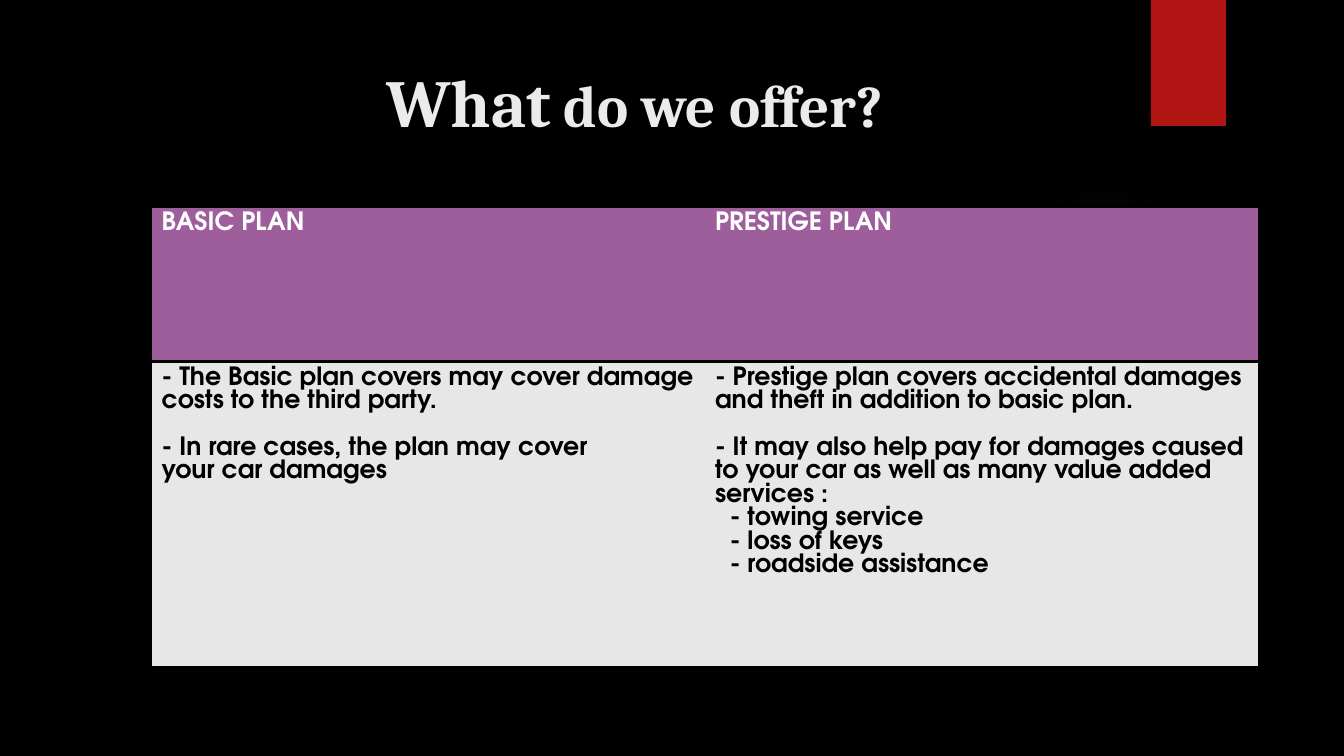
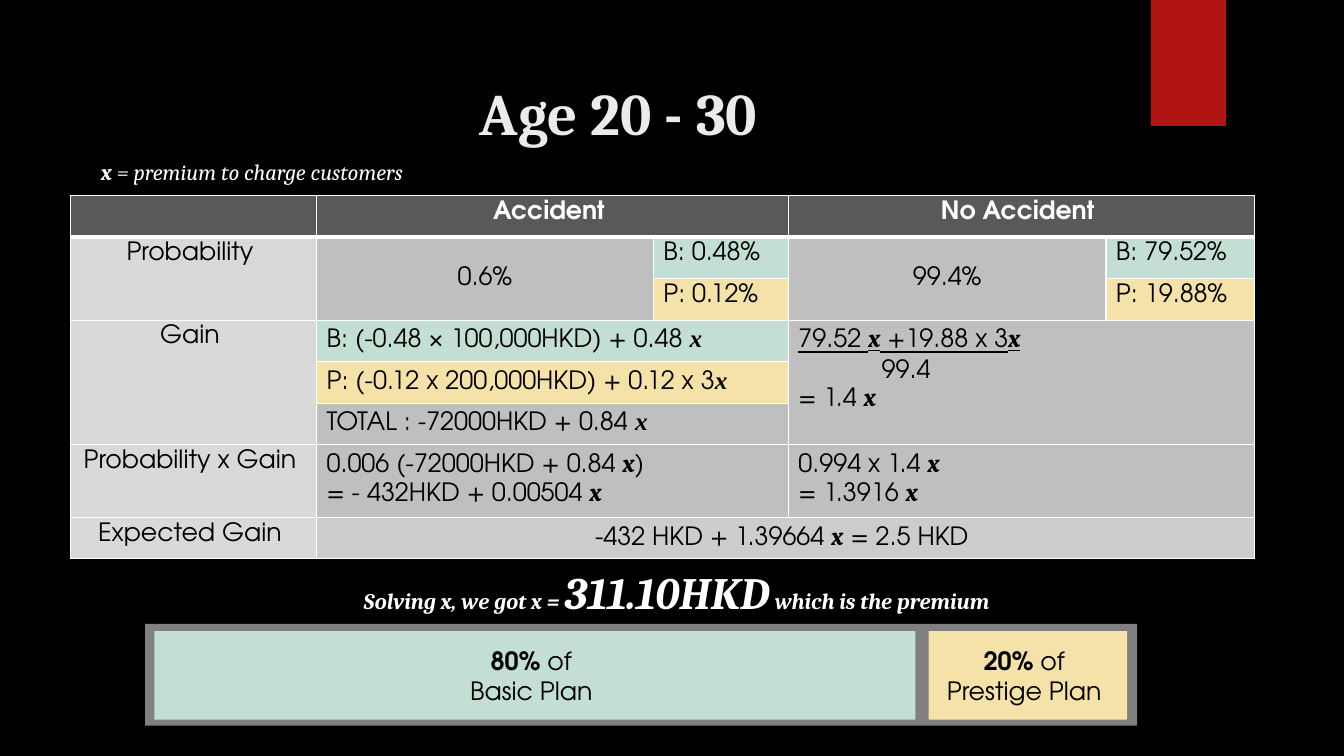
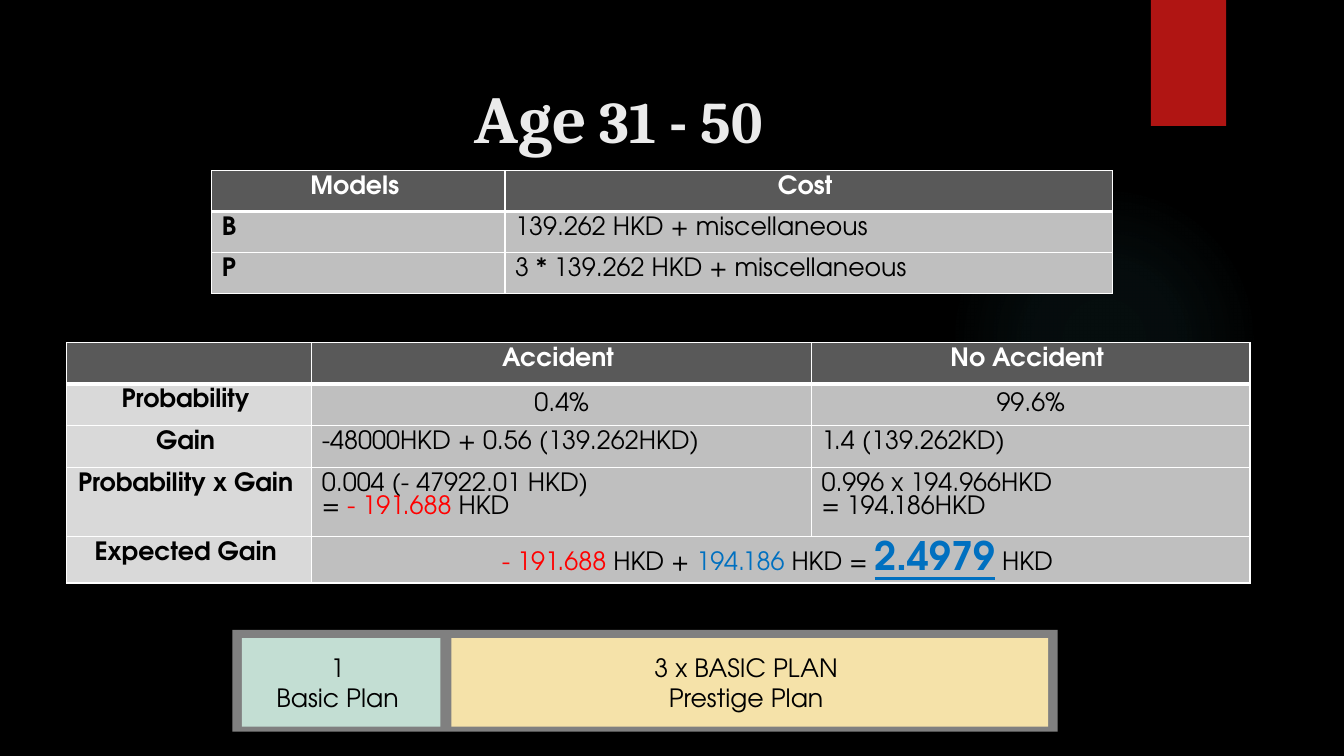
from dataclasses import asdict, dataclass, replace
from typing import NamedTuple, Optional, Union

from lxml.etree import SubElement
from pptx import Presentation
from pptx.dml.color import RGBColor
from pptx.enum.shapes import MSO_SHAPE
from pptx.enum.text import MSO_ANCHOR, PP_ALIGN
from pptx.oxml import parse_xml
from pptx.oxml.ns import nsdecls, qn
from pptx.util import Inches, Length, Pt

WIDTH, HEIGHT = Inches(13.33), Inches(7.5)


@dataclass(frozen=True)
class Theme:
    sans: str = "TeX Gyre Adventor"
    serif: str = "Cambria"
    times: str = "Times New Roman"
    black: str = "000000"
    white: str = "FFFFFF"
    title: str = "EBEBEB"
    ribbon: str = "B01513"
    glow: str = "50B9C1"
    purple: str = "9E5E9B"
    pale: str = "E7E7E7"
    head: str = "595959"
    label: str = "D9D9D9"
    grey: str = "BFBFBF"
    light: str = "CCCCCC"
    frame: str = "808080"
    mint: str = "C3DED3"
    sand: str = "F5E2A9"
    red: str = "FF0000"
    blue: str = "0070C0"
    body: int = 18
    note: int = 16
    large: int = 28
    huge: int = 32
    main: int = 42
    first: int = 48
    gap: int = 17
    margin: float = 1.28


T = Theme()


@dataclass(frozen=True)
class Look:
    name: str = T.sans
    size: int = T.body
    color: str = T.black
    bold: bool = False
    italic: bool = False
    underline: bool = False


BODY = Look()
BOLD = replace(BODY, bold=True)
HEAD = replace(BOLD, color=T.white)
UNDER = replace(BODY, underline=True)
VAR = Look(name=T.serif, bold=True, italic=True)
TIMES = replace(VAR, name=T.times)
LOSS = replace(BODY, color=T.red)
PROFIT = replace(BODY, color=T.blue)
RESULT = replace(PROFIT, size=T.large, bold=True, underline=True)
TITLE = Look(T.serif, T.main, T.title, bold=True)
FIRST = replace(TITLE, size=T.first)
NOTE = Look(T.serif, T.note, T.white, bold=True, italic=True)


class Box(NamedTuple):
    """Place and size in percent of the slide."""
    x: float
    y: float
    w: float
    h: float


class Run(NamedTuple):
    text: str
    look: Look


@dataclass
class Line:
    """One paragraph; plain strings in bits take its look, indent is in percent."""
    bits: tuple[Union[str, Run], ...]
    look: Look = BODY
    center: bool = False
    indent: float = 0
    before: float = 0


@dataclass
class Cell:
    lines: list[Line]
    fill: str = T.grey
    rows: int = 1
    cols: int = 1
    middle: bool = False


Grid = list[list[Optional[Cell]]]


def line(*bits: Union[str, Run], look: Look = BODY, center: bool = False,
         indent: float = 0, before: float = 0) -> Line:
    return Line(bits, look, center, indent, before)


def across(share: float) -> Length:
    return Length(round(WIDTH * share / 100))


def down(share: float) -> Length:
    return Length(round(HEIGHT * share / 100))


def place(box: Box) -> tuple[Length, Length, Length, Length]:
    return across(box.x), down(box.y), across(box.w), down(box.h)


def style(font, look: Look, base: Optional[Look] = None) -> None:
    """Set on font the traits in which look differs from base."""
    known = asdict(base) if base else {}
    for trait, value in asdict(look).items():
        if known.get(trait) == value:
            continue
        if trait == "color":
            font.color.rgb = RGBColor.from_string(value)
        else:
            setattr(font, trait, Pt(value) if trait == "size" else value)


def write(frame, lines: list[Line]) -> None:
    for i, item in enumerate(lines):
        para = frame.add_paragraph() if i else frame.paragraphs[0]
        para.alignment = PP_ALIGN.CENTER if item.center else PP_ALIGN.LEFT
        if item.indent:
            para._p.get_or_add_pPr().set("marL", str(across(item.indent)))
        if item.before:
            para.space_before = Pt(item.before)
        style(para.font, item.look)
        for bit in item.bits:
            run = para.add_run()
            run.text = bit if isinstance(bit, str) else bit.text
            if isinstance(bit, Run):
                style(run.font, bit.look, item.look)


def panel(slide, box: Box, fill: str, lines: Optional[list[Line]] = None,
          kind: MSO_SHAPE = MSO_SHAPE.RECTANGLE):
    shape = slide.shapes.add_shape(kind, *place(box))
    shape.shadow.inherit = False
    shape.fill.solid()
    shape.fill.fore_color.rgb = RGBColor.from_string(fill)
    shape.line.fill.background()
    if lines:
        shape.text_frame.vertical_anchor = MSO_ANCHOR.MIDDLE
        shape.text_frame.margin_right = across(T.margin)
        write(shape.text_frame, lines)
    return shape


def label(slide, box: Box, item: Line) -> None:
    frame = slide.shapes.add_textbox(*place(box)).text_frame
    frame.word_wrap = True
    write(frame, [item])


def edge(cell, side: str, color: str, width: float) -> None:
    """Draw one cell border; a width of 0 hides it."""
    ln = SubElement(cell._tc.get_or_add_tcPr(), qn(f"a:ln{side}"), w=str(Pt(width)))
    if width:
        fill = SubElement(ln, qn("a:solidFill"))
        SubElement(fill, qn("a:srgbClr"), val=color)
    else:
        SubElement(ln, qn("a:noFill"))


def draw(slide, x: float, y: float, cols: list[float], rows: list[float],
         grid: Grid, ruled: bool = True) -> None:
    """Add a table: ruled in white all round, or with black row lines only."""
    box = Box(x, y, sum(cols), sum(rows))
    table = slide.shapes.add_table(len(rows), len(cols), *place(box)).table
    table.horz_banding = False
    for i, share in enumerate(cols):
        table.columns[i].width = across(share)
    for i, share in enumerate(rows):
        table.rows[i].height = down(share)
    for r, row in enumerate(grid):
        for c, item in enumerate(row):
            cell = table.cell(r, c)
            for side in "LRTB":
                if not ruled:
                    edge(cell, side, T.black, 2 if side in "TB" else 0)
                else:
                    thick = (r, side) in ((0, "B"), (1, "T"))
                    edge(cell, side, T.white, 3 if thick else 1)
            if item is None:
                continue
            cell.fill.solid()
            cell.fill.fore_color.rgb = RGBColor.from_string(item.fill)
            if item.rows * item.cols > 1:
                cell.merge(table.cell(r + item.rows - 1, c + item.cols - 1))
            if item.middle:
                cell.vertical_anchor = MSO_ANCHOR.MIDDLE
            elif any(text.center for text in item.lines):
                cell.margin_right = across(T.margin)
            write(cell.text_frame, item.lines)


def head(text: str, cols: int = 1) -> Cell:
    lines = [line(text, look=HEAD, center=True)] if text else []
    return Cell(lines, T.head, cols=cols)


def side(text: str, look: Look = BODY, rows: int = 1) -> Cell:
    return Cell([line(text, look=look, center=True)], T.label, rows)


def mid(text: str, rows: int = 1) -> Cell:
    return Cell([line(text, center=True)], rows=rows, middle=True)


def plain(text: str, fill: str = T.grey, look: Look = BODY) -> Cell:
    return Cell([line(text, look=look)], fill)


def wide(*lines: Line, fill: str = T.grey, rows: int = 1) -> Cell:
    return Cell(list(lines), fill, rows, 2)


def dress(deck) -> None:
    """Give the master its black ground, soft glow and red ribbon."""
    master = deck.slide_master
    master.background.fill.solid()
    master.background.fill.fore_color.rgb = RGBColor.from_string(T.black)
    slide = deck.slides[0]
    glow = panel(slide, Box(70.6, 24.4, 23.1, 41.07), T.glow, kind=MSO_SHAPE.OVAL)
    ribbon = panel(slide, Box(85.63, 0, 5.6, 16.67), T.ribbon)
    stops = "".join(
        f'<a:gs pos="{pos}000"><a:srgbClr val="{T.glow}">'
        f'<a:alpha val="{alpha}000"/></a:srgbClr></a:gs>'
        for pos, alpha in ((0, 7), (36, 6), (69, 0)))
    props = glow._element.spPr
    props.replace(props.find(qn("a:solidFill")), parse_xml(
        f'<a:gradFill {nsdecls("a")}><a:gsLst>{stops}</a:gsLst><a:path path="circle">'
        '<a:fillToRect l="50000" t="50000" r="50000" b="50000"/></a:path></a:gradFill>'))
    for i, shape in enumerate((glow, ribbon)):
        shape._element.nvSpPr.cNvPr.set("id", str(100 + i))
        master.shapes.element.append(shape._element)


def start(deck, text: Line, x: float = 7.43, y: float = 9.47):
    slide = deck.slides.add_slide(deck.slide_layouts[5])
    title = slide.shapes.title
    title.left, title.top, title.width, title.height = place(Box(x, y, 77.2, 20.4))
    title.text_frame.vertical_anchor = MSO_ANCHOR.TOP
    write(title.text_frame, [text])
    return slide


def offer(deck) -> None:
    slide = start(deck, line(Run("What", FIRST), " do we offer?", look=TITLE,
                             indent=12.55), 15.45, 7.33)
    basic = [line("- The Basic plan covers may cover damage costs to the third party.",
                  look=BOLD),
             line("- In rare cases, the plan may cover", look=BOLD, before=T.gap),
             line("your car damages", look=BOLD)]
    prestige = [line("- Prestige plan covers accidental damages and theft in addition "
                     "to basic plan.", look=BOLD),
                line("- It may also help pay for damages caused to your car as well as "
                     "many value added services :", look=BOLD, before=T.gap)]
    prestige += [line(f"- {extra}", look=BOLD, indent=1.1)
                 for extra in ("towing service", "loss of keys", "roadside assistance")]
    draw(slide, 11.28, 27.3, [41.18] * 2, [20.5, 40.4], [
        [plain(f"{name} PLAN", T.purple, HEAD) for name in ("BASIC", "PRESTIGE")],
        [Cell(basic, T.pale), Cell(prestige, T.pale)],
    ], ruled=False)


def young(deck) -> None:
    slide = start(deck, line("Age 20 - 30", look=TITLE, center=True))
    x, tx = Run("x", VAR), Run("x", TIMES)
    ux = Run("x", replace(VAR, underline=True))
    draw(slide, 5.25, 25.87, [18.3, 25.06, 10.05, 23.63, 11.03],
         [5.5] * 6 + [9.6, 5.47], [
        [head(""), head("Accident", 2), None, head("No Accident", 2), None],
        [side("Probability", rows=2), mid("0.6%", 2), plain("B: 0.48%", T.mint),
         mid("99.4%", 2), plain("B: 79.52%", T.mint)],
        [None, None, plain("P: 0.12%", T.sand), None, plain("P: 19.88%", T.sand)],
        [side("Gain", rows=3),
         wide(line("B: (-0.48 × 100,000HKD) + 0.48 ", tx), fill=T.mint), None,
         wide(line("79.52 ", ux, " +19.88 x 3", ux, look=UNDER),
              line("99.4", indent=6.2, before=4), line("= 1.4 ", x), rows=3), None],
        [None, wide(line("P: (-0.12 x 200,000HKD) + 0.12 x 3", tx), fill=T.sand),
         None, None, None],
        [None, wide(line("TOTAL : -72000HKD + 0.84 ", tx)), None, None, None],
        [side("Probability x Gain"),
         wide(line("0.006 (-72000HKD + 0.84 ", x, ")"),
              line("= - 432HKD + 0.00504 ", x)), None,
         wide(line("0.994 x 1.4 ", x), line("= 1.3916 ", x)), None],
        [side("Expected Gain"),
         Cell([line("-432 HKD + 1.39664 ", x, " = 2.5 HKD", center=True)],
              T.light, cols=4), None, None, None],
    ])
    panel(slide, Box(10.8, 82.53, 73.82, 13.47), T.frame)
    for left, width, fill, share, name in (
            (11.48, 56.64, T.mint, "80%", "Basic"),
            (69.09, 14.78, T.sand, "20%", "Prestige")):
        panel(slide, Box(left, 83.47, width, 11.73), fill,
              [line(Run(share, BOLD), " of", center=True),
               line(f"{name} Plan", center=True)])
    label(slide, Box(22.88, 74.05, 54.91, 8.53),
          line("Solving x, we got x = ", Run("311.10HKD", replace(NOTE, size=T.huge)),
               " which is the premium", look=NOTE, center=True))
    label(slide, Box(0, 20.27, 37.5, 4.93),
          line(Run("x", NOTE), " = premium to charge customers",
               look=replace(NOTE, bold=False), center=True))


def older(deck) -> None:
    slide = start(deck, line(Run("Age", FIRST), " 31 - 50", look=TITLE, center=True))
    draw(slide, 15.75, 22.6, [21.83, 45.2], [5.4] * 3, [
        [head("Models"), head("Cost")],
        [plain("B", look=BOLD), plain("139.262 HKD + miscellaneous")],
        [plain("P", look=BOLD), plain("3 * 139.262 HKD + miscellaneous")],
    ])
    panel(slide, Box(17.3, 83.33, 61.4, 13.47), T.frame)
    for left, width, fill, price, name in (
            (18, 14.78, T.mint, "1", "Basic"),
            (33.58, 44.41, T.sand, "3 x BASIC PLAN", "Prestige")):
        panel(slide, Box(left, 84.4, width, 11.73), fill,
              [line(price, center=True), line(f"{name} Plan", center=True)])
    draw(slide, 4.95, 45.33, [18.25, 37.18, 32.63], [5.5, 5.5, 5.5, 9.2, 6.1], [
        [head(""), head("Accident"), head("No Accident")],
        [side("Probability", BOLD), mid("0.4%"), mid("99.6%")],
        [side("Gain", BOLD), plain("-48000HKD + 0.56 (139.262HKD)"),
         plain("1.4 (139.262KD)")],
        [side("Probability x Gain", BOLD),
         Cell([line("0.004 (- 47922.01 HKD)"),
               line("= ", Run("- 191.688", LOSS), " HKD")]),
         Cell([line("0.996 x 194.966HKD"), line("= 194.186HKD")])],
        [side("Expected Gain", BOLD),
         Cell([line(Run("- 191.688", LOSS), " HKD + ", Run("194.186", PROFIT),
                    " HKD = ", Run("2.4979", RESULT), " HKD", center=True)],
              cols=2), None],
    ])


def main() -> None:
    deck = Presentation()
    deck.slide_width, deck.slide_height = WIDTH, HEIGHT
    for build in (offer, young, older):
        build(deck)
    dress(deck)
    deck.save("out.pptx")


if __name__ == "__main__":
    main()
